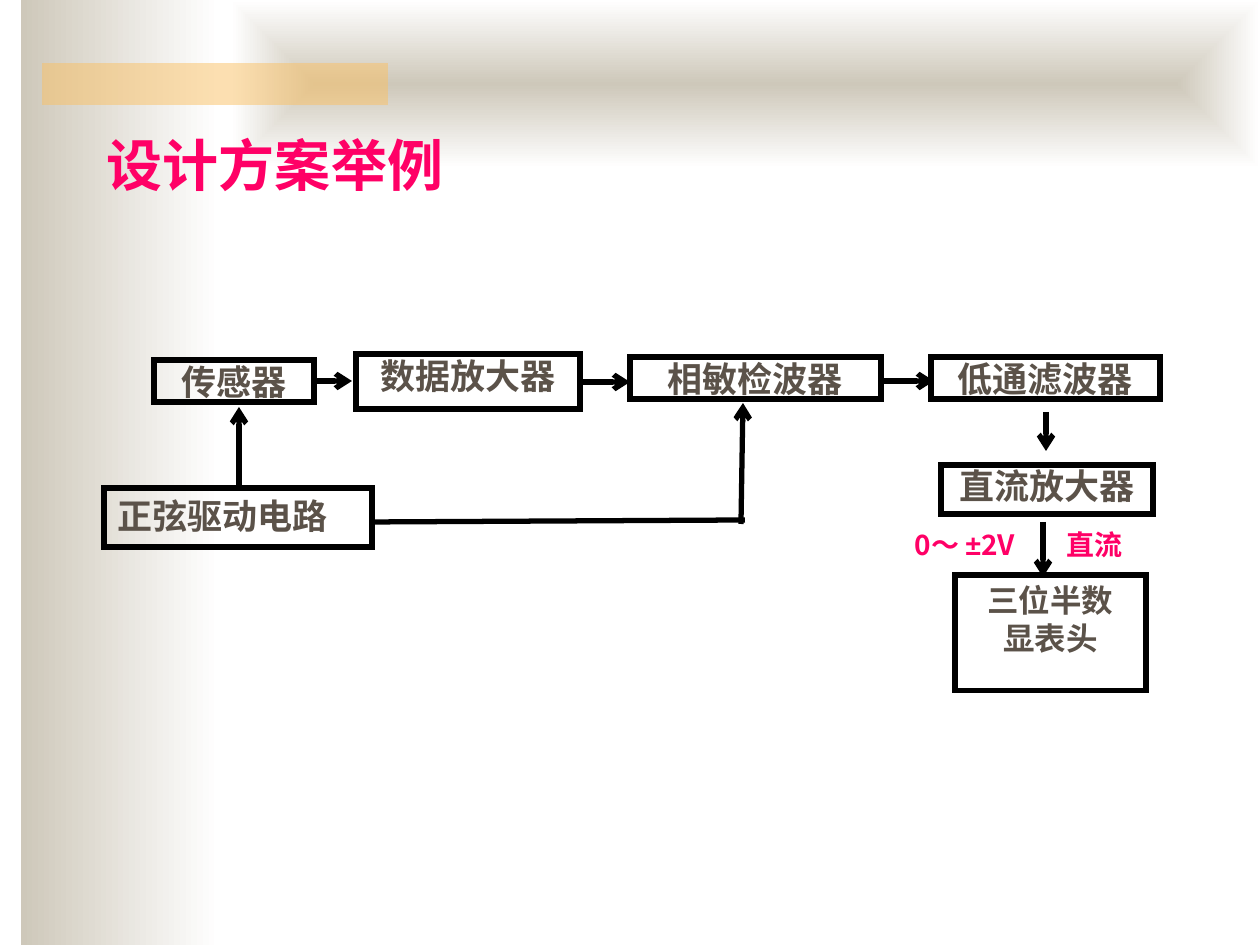
from lxml.etree import SubElement
from pptx import Presentation
from pptx.dml.color import RGBColor
from pptx.enum.shapes import MSO_CONNECTOR, MSO_SHAPE
from pptx.enum.text import MSO_ANCHOR, PP_ALIGN
from pptx.oxml.ns import qn
from pptx.util import Pt

PX = 914400 / 126
COLORS = {
    "sand": "CEC8BA",
    "white": "FFFFFF",
    "amber": "FAC164",
    "pink": "FF0066",
    "brown": "5B5249",
    "black": "000000",
}
SERIF, SANS, LATIN = "Times New Roman", "Noto Sans CJK SC", "Arial"
WIDE, TIGHT = (13, 6), (0, 0)

BLOCKS = [
    ((154, 360, 160, 42), [[("传感器", SERIF)]], 20, PP_ALIGN.CENTER, TIGHT),
    ((356, 354, 224, 55), [[("数据放大器", SERIF)]], 20, PP_ALIGN.CENTER, TIGHT),
    ((630, 357, 251, 42), [[("相敏检波器", SERIF)]], 20, PP_ALIGN.CENTER, TIGHT),
    ((931, 357, 229, 42), [[("低通滤波器", SERIF)]], 20, PP_ALIGN.CENTER, TIGHT),
    ((941, 465, 212, 49), [[("直流放大器", SERIF)]], 20, PP_ALIGN.CENTER, TIGHT),
    ((955, 575, 191, 116), [[("三位半数", SERIF)], [("显表头", SERIF)]],
     18, PP_ALIGN.CENTER, WIDE),
    ((104, 488, 268, 59), [[("正", SERIF), ("弦", SANS), ("驱动电路", SERIF)]],
     20, PP_ALIGN.JUSTIFY, WIDE),
]
SIGNALS = [
    (312, 381, 352, 381),
    (581, 382, 630, 382),
    (879, 381, 934, 381),
    (1046, 412, 1046, 451),
    (1043, 522, 1043, 577),
    (239, 490, 239, 407),
    (741, 524, 743, 403),
]
DRIVE_LINE = (374, 522, 745, 520)


def px(*lengths):
    """Turn pixel lengths into EMU."""
    return [round(length * PX) for length in lengths]


def rgb(name):
    """Look up a named colour."""
    return RGBColor.from_string(COLORS[name])


def add_panel(slide, box):
    """Add a rectangle without outline or shadow."""
    panel = slide.shapes.add_shape(MSO_SHAPE.RECTANGLE, *px(*box))
    panel.shadow.inherit = False
    panel.line.fill.background()
    return panel


def add_gradient(slide, box, centred=False):
    """Add a panel fading from sand to white, sideways or from its centre."""
    panel = add_panel(slide, box)
    panel.fill.gradient()
    panel.fill.gradient_angle = 0
    for stop, name in zip(panel.fill.gradient_stops, ("sand", "white")):
        stop.color.rgb = rgb(name)
    if centred:
        gradient = panel._element.spPr.find(qn("a:gradFill"))
        gradient.remove(gradient.find(qn("a:lin")))
        route = SubElement(gradient, qn("a:path"), path="rect")
        SubElement(route, qn("a:fillToRect"), l="50000", t="50000", r="50000", b="50000")


def add_accent(slide, box):
    """Add the half-transparent amber bar."""
    bar = add_panel(slide, box)
    bar.fill.solid()
    bar.fill.fore_color.rgb = rgb("amber")
    tint = bar._element.spPr.find(qn("a:solidFill"))[0]
    SubElement(tint, qn("a:alpha"), val="50000")


def write(frame, paragraphs, size, color, align, inset, anchor=MSO_ANCHOR.TOP, tab=None):
    """Fill a text frame with bold paragraphs made of (text, font) runs."""
    frame.word_wrap = True
    frame.vertical_anchor = anchor
    side, end = px(*inset)
    frame.margin_left = frame.margin_right = side
    frame.margin_top = frame.margin_bottom = end
    for index, runs in enumerate(paragraphs):
        line = frame.add_paragraph() if index else frame.paragraphs[0]
        line.alignment = align
        if tab:
            stops = SubElement(line._p.get_or_add_pPr(), qn("a:tabLst"))
            SubElement(stops, qn("a:tab"), pos=str(px(tab)[0]), algn="l")
        for text, font in runs:
            run = line.add_run()
            run.text = text
            run.font.name = font
            run.font.size = Pt(size)
            run.font.bold = True
            run.font.color.rgb = rgb(color)


def add_block(slide, box, paragraphs, size, align, inset):
    """Add a sharp-cornered, outlined block of the circuit diagram."""
    block = add_panel(slide, box)
    block.fill.background()
    block.line.color.rgb = rgb("black")
    block.line.width = Pt(3)
    SubElement(block._element.spPr.find(qn("a:ln")), qn("a:miter"), lim="800000")
    write(block.text_frame, paragraphs, size, "brown", align, inset)


def add_label(slide, box, runs, size, align, **layout):
    """Add a pink line of text."""
    label = slide.shapes.add_textbox(*px(*box))
    write(label.text_frame, [runs], size, "pink", align, WIDE, **layout)


def add_signal(slide, ends, arrow=True):
    """Add a signal line, with an arrowhead at its end if wanted."""
    signal = slide.shapes.add_connector(MSO_CONNECTOR.STRAIGHT, *px(*ends))
    signal.line.color.rgb = rgb("black")
    signal.line.width = Pt(3)
    properties = signal._element.spPr
    if arrow:
        SubElement(properties.find(qn("a:ln")), qn("a:tailEnd"), type="arrow")
    SubElement(properties, qn("a:effectLst"))


def main():
    """Build the slide and save it."""
    deck = Presentation()
    deck.slide_width, deck.slide_height = px(1260, 945)
    slide = deck.slides.add_slide(deck.slide_layouts[6])
    add_gradient(slide, (21, 0, 199, 945))
    add_gradient(slide, (231, 0, 1029, 168), centred=True)
    add_accent(slide, (42, 63, 346, 42))
    add_label(slide, (94, 118, 441, 92), [("设计方案举例", SERIF)], 32,
              PP_ALIGN.LEFT, anchor=MSO_ANCHOR.MIDDLE)
    for block in BLOCKS:
        add_block(slide, *block)
    for ends in SIGNALS:
        add_signal(slide, ends)
    add_signal(slide, DRIVE_LINE, arrow=False)
    add_label(slide, (902, 522, 278, 68),
              [("0～ ", SANS), ("±", LATIN), ("2V\t直流", SANS)], 16,
              PP_ALIGN.JUSTIFY, tab=152)
    deck.save("out.pptx")


if __name__ == "__main__":
    main()
